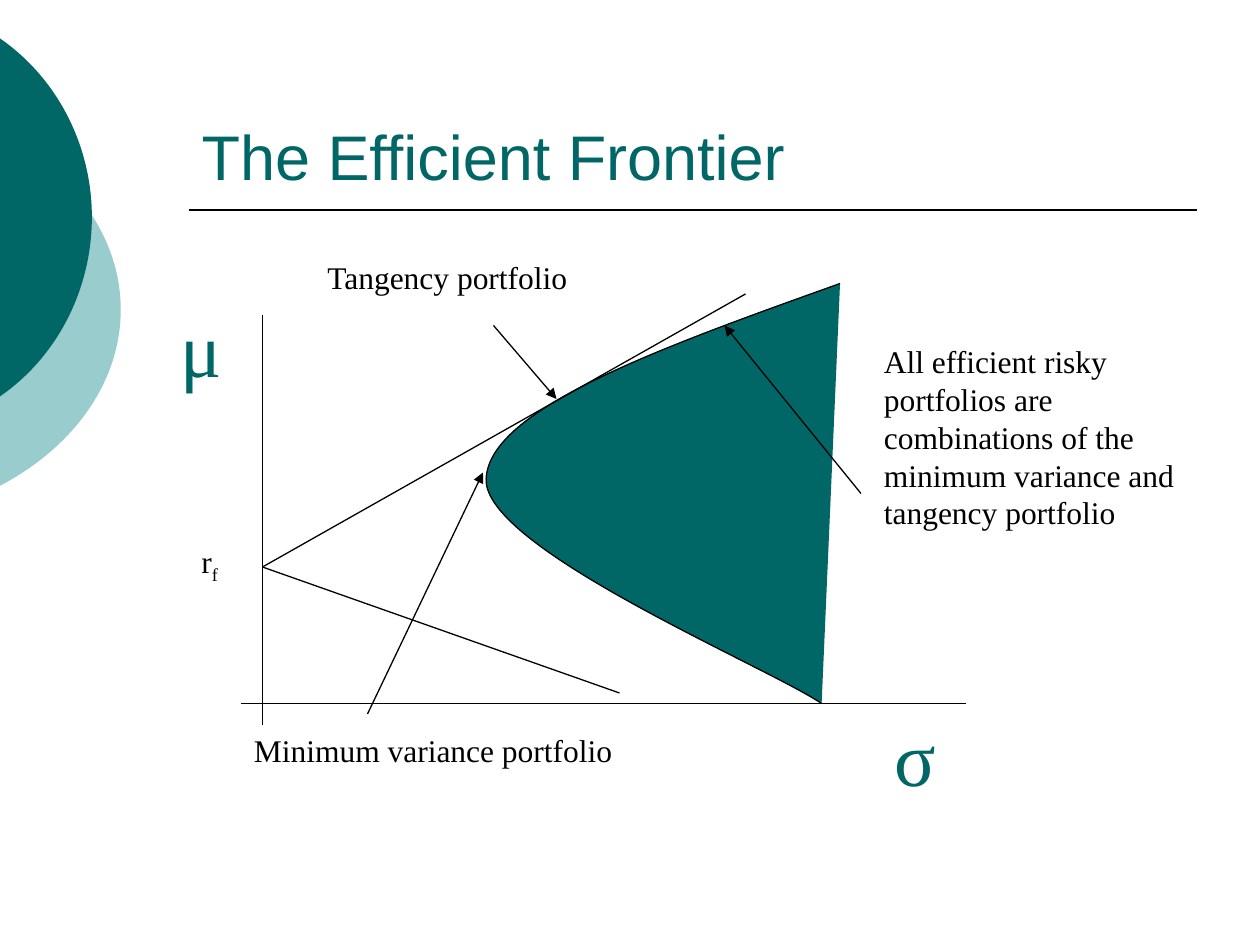
from dataclasses import dataclass

from lxml.etree import SubElement
from pptx import Presentation
from pptx.dml.color import RGBColor
from pptx.enum.shapes import MSO_CONNECTOR
from pptx.enum.text import MSO_ANCHOR, PP_ALIGN
from pptx.oxml.ns import qn
from pptx.util import Pt


@dataclass(frozen=True)
class Theme:
    teal: RGBColor = RGBColor(0x00, 0x66, 0x66)
    pale_teal: RGBColor = RGBColor(0x99, 0xCC, 0xCC)
    black: RGBColor = RGBColor(0x00, 0x00, 0x00)
    heading_font: str = "Arial"
    body_font: str = "Times New Roman"
    title_size: int = 36
    symbol_size: int = 44
    label_size: int = 18
    thin: float = 0.75
    rule: float = 1


def add_text(paragraph, text, *, font, size, color, baseline=0):
    run = paragraph.add_run()
    run.text = text
    run.font.name = font
    run.font.size = Pt(size)
    run.font.color.rgb = color
    if baseline:
        run._r.get_or_add_rPr().set("baseline", str(baseline * 1000))


class Page:
    def __init__(self, slide, theme):
        self.slide = slide
        self.theme = theme

    def title(self, text, left, top, width, height):
        heading = self.slide.shapes.title
        heading.left, heading.top = Pt(left), Pt(top)
        heading.width, heading.height = Pt(width), Pt(height)
        frame = heading.text_frame
        frame.vertical_anchor = MSO_ANCHOR.BOTTOM
        paragraph = frame.paragraphs[0]
        paragraph.alignment = PP_ALIGN.LEFT
        add_text(paragraph, text, font=self.theme.heading_font,
                 size=self.theme.title_size, color=self.theme.teal)

    def label(self, text, left, top, width, height, size=None, color=None, subscript=""):
        box = self.slide.shapes.add_textbox(Pt(left), Pt(top), Pt(width), Pt(height))
        box.text_frame.word_wrap = True
        paragraph = box.text_frame.paragraphs[0]
        style = {"font": self.theme.body_font, "size": size or self.theme.label_size,
                 "color": color or self.theme.black}
        add_text(paragraph, text, **style)
        if subscript:
            add_text(paragraph, subscript, baseline=-25, **style)

    def symbol(self, text, left, top, width, height):
        self.label(text, left, top, width, height,
                   size=self.theme.symbol_size, color=self.theme.teal)

    def line(self, start, end, width=None, arrow=False):
        connector = self.slide.shapes.add_connector(
            MSO_CONNECTOR.STRAIGHT, *(Pt(value) for value in (*start, *end)))
        connector.line.color.rgb = self.theme.black
        connector.line.width = Pt(width or self.theme.thin)
        if arrow:
            SubElement(connector.line._get_or_add_ln(), qn("a:tailEnd"), type="triangle")
        SubElement(connector._element.spPr, qn("a:effectLst"))

    def curve(self, frame, start, segments, fill, closed=False, outlined=False):
        left, top, width, height = (Pt(value) for value in frame)
        builder = self.slide.shapes.build_freeform(left, top)
        builder.add_line_segments([(left + width, top + height)], close=False)
        area = builder.convert_to_shape()
        outline = next(area._element.iter(qn("a:path")))
        for command in list(outline):
            outline.remove(command)
        commands = [("a:moveTo", [start])]
        commands += [("a:cubicBezTo", segment) for segment in segments]
        if closed:
            commands.append(("a:close", []))
        for tag, points in commands:
            command = SubElement(outline, qn(tag))
            for x, y in points:
                SubElement(command, qn("a:pt"), x=str(Pt(x) - left), y=str(Pt(y) - top))
        area.shadow.inherit = False
        area.fill.solid()
        area.fill.fore_color.rgb = fill
        if outlined:
            area.line.color.rgb = self.theme.black
            area.line.width = Pt(self.theme.thin)
        else:
            area.line.fill.background()


def main():
    presentation = Presentation()
    presentation.slide_width, presentation.slide_height = Pt(720), Pt(540)
    theme = Theme()
    page = Page(presentation.slides.add_slide(presentation.slide_layouts[5]), theme)

    page.curve((-255, 54, 324, 246), (-0.7, 76.2),
               [((43.5, 99.5), (69, 137), (69, 177)),
                ((69, 217), (43.5, 255), (-0.7, 278))],
               theme.pale_teal, closed=True)
    page.curve((-191, 0, 243.5, 248.5), (-0.7, 21.5),
               [((33, 44.5), (52.5, 83.5), (52.5, 124)),
                ((52.5, 165), (33, 204), (-0.7, 227))],
               theme.teal, closed=True)
    page.line((108, 120), (684, 120), width=theme.rule)
    page.title("The Efficient Frontier", 108, 24, 576, 90)

    risk_free = (150, 324)
    page.line((150, 180), (150, 414))
    page.line((138, 402), (552, 402))
    page.symbol("μ", 96, 168, 39.6, 60)
    page.symbol("σ", 504, 402, 41, 60)
    page.curve((276, 162, 204, 240), (480, 162),
               [((379.5, 198), (279.5, 233.3), (277.8, 273.6)),
                ((275.8, 313.2), (438.5, 381), (469.5, 402))],
               theme.teal, outlined=True)
    page.label("r", 108, 306, 28, 36, subscript="f")
    page.line(risk_free, (426, 168))
    page.line(risk_free, (354, 396))

    page.label("Tangency portfolio", 180, 144, 198.7, 36)
    page.line((282, 186), (318, 228), arrow=True)
    page.label("Minimum variance portfolio", 138, 414, 287.3, 36)
    page.line((210, 408), (276, 270), arrow=True)
    page.label("All efficient risky portfolios are combinations of the "
               "minimum variance and tangency portfolio", 498, 192, 205.2, 180)
    page.line((492, 282), (414, 186), arrow=True)

    presentation.save("out.pptx")


if __name__ == "__main__":
    main()
